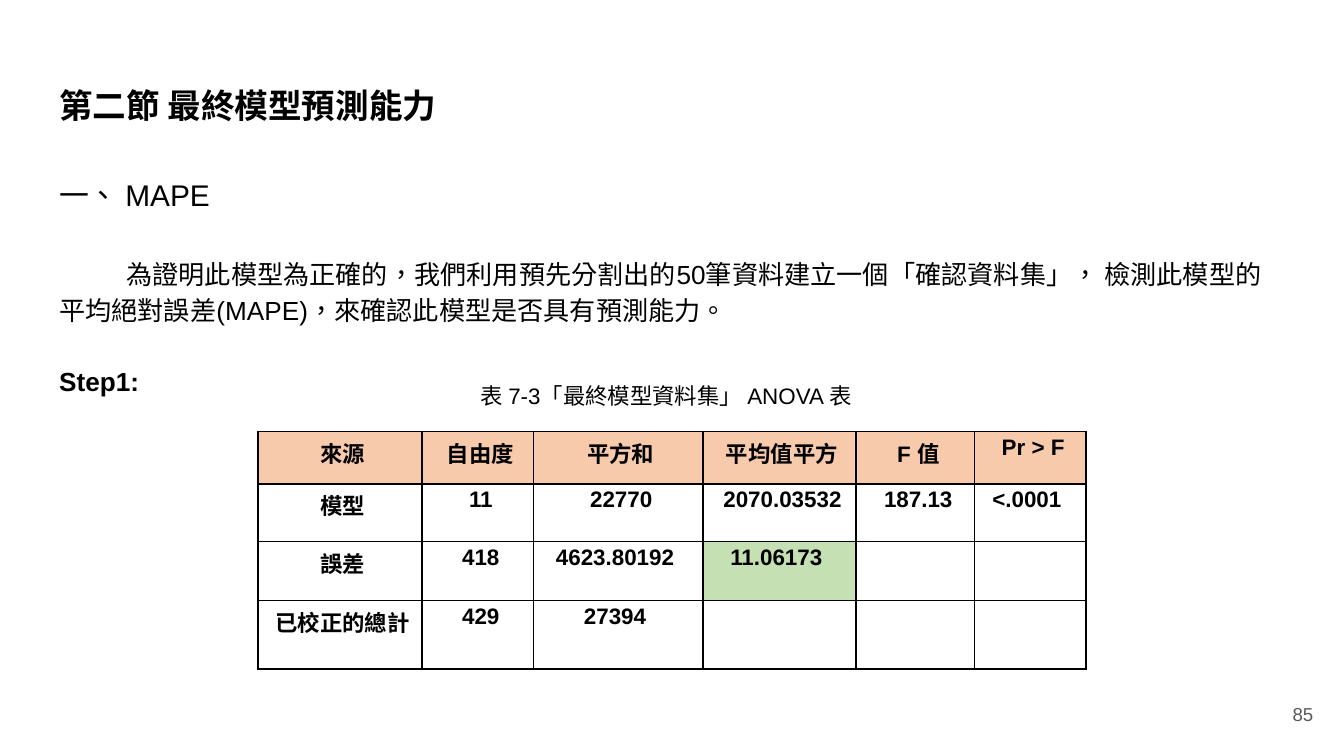
from dataclasses import dataclass

from pptx import Presentation
from pptx.dml.color import RGBColor
from pptx.enum import lang, text
from pptx.oxml import parse_xml
from pptx.oxml.ns import nsdecls
from pptx.util import Inches, Pt

FONT = "Arial"
SLIDE_WIDTH = 10
SLIDE_HEIGHT = SLIDE_WIDTH * 9 / 16
COLORS = {
    "ink": "000000",
    "page_number": "595959",
    "header": "F7CAAC",
    "highlight": "C5E0B3",
}


@dataclass
class Line:
    words: str
    size: float
    bold: bool = False
    indent: float = 0
    gap_after: float = 0


@dataclass
class Box:
    left: float
    top: float
    width: float
    height: float

    def lengths(self) -> list:
        return [Inches(n) for n in (self.left, self.top, self.width, self.height)]


def style_paragraph(paragraph, size: float, color: str = "ink", bold: bool = False,
                    align=text.PP_ALIGN.LEFT, spacing: float = 1.15) -> None:
    paragraph.alignment = align
    paragraph.line_spacing = spacing
    for run in paragraph.runs:
        run.font.name = FONT
        run.font.size = Pt(size)
        run.font.bold = bold
        run.font.color.rgb = RGBColor.from_string(COLORS[color])
        run.font.language_id = lang.MSO_LANGUAGE_ID.TRADITIONAL_CHINESE


def set_margins(frame, margin: float = 0.1) -> None:
    frame.word_wrap = True
    frame.auto_size = text.MSO_AUTO_SIZE.NONE
    frame.margin_left = frame.margin_right = Inches(margin)
    frame.margin_top = frame.margin_bottom = Inches(margin)


def add_label(slide, box: Box, words: str, size: float, **style) -> None:
    frame = slide.shapes.add_textbox(*box.lengths()).text_frame
    set_margins(frame)
    frame.vertical_anchor = text.MSO_ANCHOR.MIDDLE
    frame.text = words
    style_paragraph(frame.paragraphs[0], size, **style)


def fill_title(title, box: Box, lines: list[Line]) -> None:
    title.left, title.top, title.width, title.height = box.lengths()
    frame = title.text_frame
    set_margins(frame)
    frame.vertical_anchor = text.MSO_ANCHOR.TOP
    frame.text = "\n".join(line.words for line in lines)
    for paragraph, line in zip(frame.paragraphs, lines):
        style_paragraph(paragraph, line.size, bold=line.bold)
        paragraph.space_before = Pt(0)
        paragraph.space_after = Pt(line.gap_after)
        if line.indent:
            paragraph._p.get_or_add_pPr().set("indent", str(Inches(line.indent)))


def add_borders(cell) -> None:
    properties = cell._tc.get_or_add_tcPr()
    for position, side in enumerate(("lnL", "lnR", "lnT", "lnB")):
        properties.insert(position, parse_xml(
            f'<a:{side} {nsdecls("a")} w="{Pt(1)}"><a:solidFill>'
            f'<a:srgbClr val="{COLORS["ink"]}"/></a:solidFill></a:{side}>'))


def fill_cell(cell, words: str, fill: str | None) -> None:
    if fill:
        cell.fill.solid()
        cell.fill.fore_color.rgb = RGBColor.from_string(COLORS[fill])
    else:
        cell.fill.background()
    add_borders(cell)
    cell.margin_left = cell.margin_right = Inches(0.07)
    cell.margin_top = cell.margin_bottom = 0
    if words:
        cell.text = words
        paragraph = cell.text_frame.paragraphs[0]
        style_paragraph(paragraph, 12, bold=True, align=text.PP_ALIGN.CENTER)
        paragraph.space_before = paragraph.space_after = Pt(12)


def add_anova(slide, left: float, top: float, widths: list[float],
              heights: list[float], rows: list[list[str]]) -> None:
    box = Box(left, top, sum(widths), sum(heights))
    table = slide.shapes.add_table(len(rows), len(widths), *box.lengths()).table
    table.first_row = table.horz_banding = False
    for column, width in zip(table.columns, widths):
        column.width = Inches(width)
    for r, (row, height) in enumerate(zip(rows, heights)):
        table.rows[r].height = Inches(height)
        for c, words in enumerate(row):
            fill = "header" if r == 0 else "highlight" if (r, c) == (2, 3) else None
            fill_cell(table.cell(r, c), words, fill)


def main() -> None:
    deck = Presentation()
    deck.slide_width, deck.slide_height = Inches(SLIDE_WIDTH), Inches(SLIDE_HEIGHT)
    slide = deck.slides.add_slide(deck.slide_layouts[5])

    # Heading and explanation
    fill_title(slide.shapes.title, Box(0.34, 0.49, 9.32, 0.63), [
        Line("第二節 最終模型預測能力", 18, bold=True, gap_after=24.5),
        Line("一、 MAPE", 16, gap_after=22),
        Line("為證明此模型為正確的，我們利用預先分割出的50筆資料建立一個「確認資料集」， "
             "檢測此模型的平均絕對誤差(MAPE)，來確認此模型是否具有預測能力。",
             14, indent=0.5, gap_after=19),
        Line("Step1:", 14, bold=True),
    ])

    # Page number
    add_label(slide, Box(9.27, 5.1, 0.6, 0.43), "85", 10, color="page_number",
              align=text.PP_ALIGN.RIGHT, spacing=1.0)

    # ANOVA table and its caption
    add_anova(slide, 1.92, 3.21, [1.22, 0.83, 1.26, 1.14, 0.88, 0.83],
              [0.39, 0.43, 0.44, 0.51], [
        [" 來源", " 自由度", " 平方和", " 平均值平方", " F 值", " Pr > F"],
        [" 模型", " 11", " 22770", " 2070.03532", " 187.13", "<.0001 "],
        [" 誤差", " 418", "4623.80192 ", "11.06173 ", "", ""],
        [" 已校正的總計", " 429", "27394 ", "", "", ""],
    ])
    add_label(slide, Box(3.48, 2.65, 3.04, 0.56), "表 7-3「最終模型資料集」 ANOVA 表", 12)

    deck.save("out.pptx")


if __name__ == "__main__":
    main()
